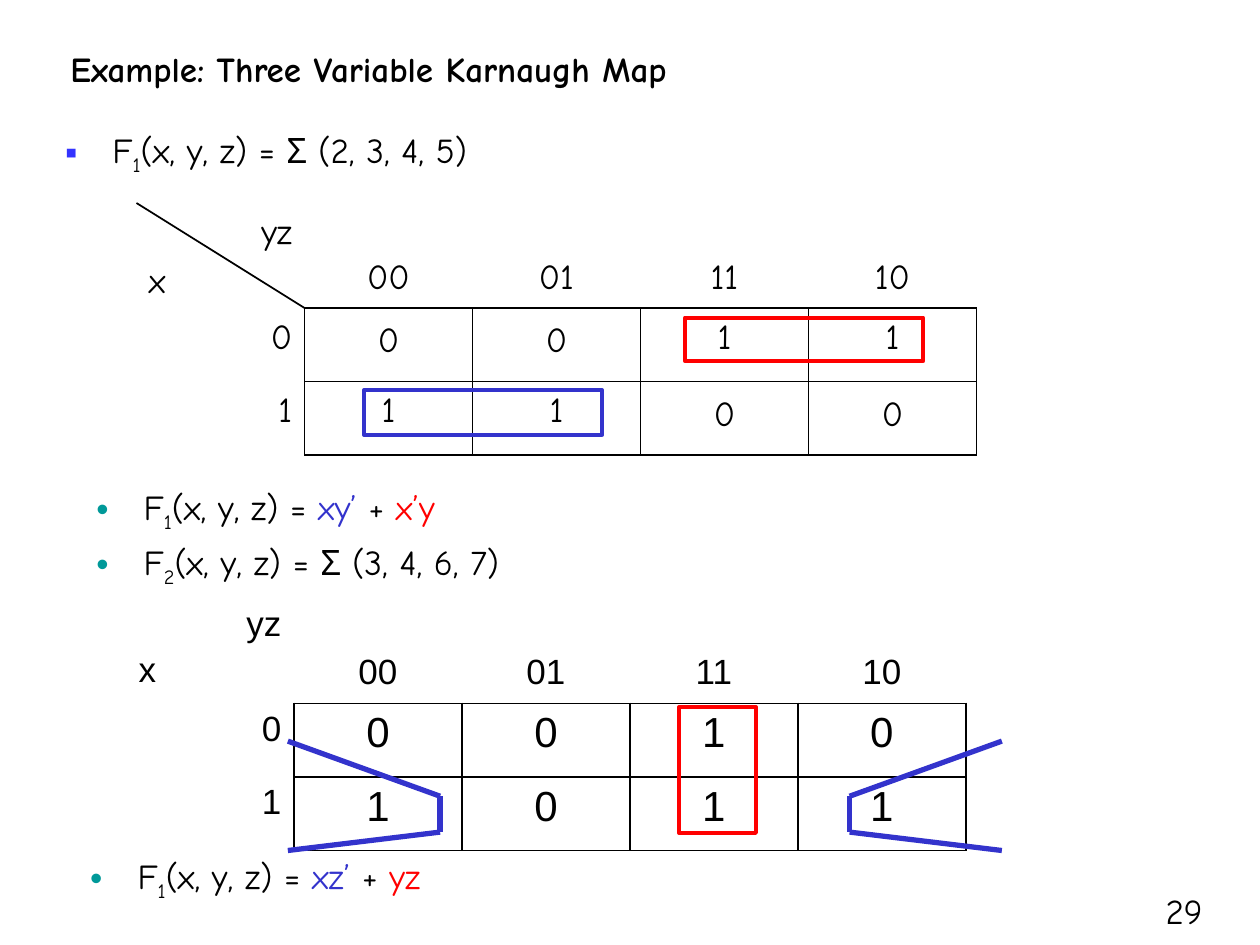
from dataclasses import dataclass
from itertools import accumulate

from lxml.etree import SubElement
from pptx import Presentation
from pptx.dml.color import RGBColor
from pptx.enum.shapes import MSO_CONNECTOR, MSO_SHAPE
from pptx.enum.text import MSO_ANCHOR, MSO_AUTO_SIZE, PP_ALIGN
from pptx.oxml.ns import qn
from pptx.util import Pt


@dataclass(frozen=True)
class Theme:
    font: str = "Comic Neue"
    table_font: str = "Arial"
    size: float = 20
    value_size: float = 24
    gap: float = 4
    black: str = "000000"
    blue: str = "3333CC"
    red: str = "FF0000"
    square_bullet: str = "3333FF"
    round_bullet: str = "009999"
    rule: float = 1
    marker: float = 2.25
    bracket: float = 3


THEME = Theme()
LEFT, CENTER, RIGHT = PP_ALIGN.LEFT, PP_ALIGN.CENTER, PP_ALIGN.RIGHT
COLUMN, ROWS = 96, (60, 42, 42)
CODES = ("00", "01", "11", "10")
HEADER_FOOT = 6.4  # lines the codes up with the x label


def points(*lengths):
    return [Pt(length) for length in lengths]


class SlideBuilder:
    def __init__(self, page, theme):
        self.page, self.theme = page, theme

    def fill_text(self, frame, paragraphs, align=LEFT, bullet=None, **font):
        """Each paragraph is a list of (text, colour, is_subscript) spans."""
        theme = self.theme
        style = {"name": theme.font, "size": Pt(theme.size), "bold": False, **font}
        for index, spans in enumerate(paragraphs):
            para = frame.paragraphs[0] if index == 0 else frame.add_paragraph()
            para.alignment = align[index] if isinstance(align, tuple) else align
            para.space_before = Pt(theme.gap if index else 0)
            if bullet:
                self.add_bullet(para, *bullet)
            for text, colour, subscript in spans:
                span = para.add_run()
                span.text = text
                for name, value in style.items():
                    setattr(span.font, name, value)
                span.font.color.rgb = RGBColor.from_string(colour)
                if subscript:
                    span._r.get_or_add_rPr().set("baseline", "-25000")

    def add_bullet(self, para, symbol, colour):
        properties = para._p.get_or_add_pPr()
        properties.set("marL", str(Pt(27)))
        properties.set("indent", str(-Pt(27)))
        holder = SubElement(properties, qn("a:buClr"))
        SubElement(holder, qn("a:srgbClr"), val=colour)
        SubElement(properties, qn("a:buFont"), typeface="Arial")
        SubElement(properties, qn("a:buChar"), char=symbol)

    def placeholder(self, index, place, paragraphs, anchor, **style):
        box = self.page.placeholders[index]
        for name, value in zip(("left", "top", "width", "height"), points(*place)):
            setattr(box, name, value)
        frame = box.text_frame
        frame.auto_size = MSO_AUTO_SIZE.NONE
        frame.vertical_anchor = anchor
        self.fill_text(frame, paragraphs, **style)

    def text(self, place, paragraphs, anchor=MSO_ANCHOR.TOP, foot=3.6, **style):
        frame = self.page.shapes.add_textbox(*points(*place)).text_frame
        frame.word_wrap = True
        frame.vertical_anchor = anchor
        frame.margin_bottom = Pt(foot)
        self.fill_text(frame, paragraphs, **style)

    def line(self, start, end, colour, width):
        line = self.page.shapes.add_connector(
            MSO_CONNECTOR.STRAIGHT, *points(*start, *end))
        line.line.color.rgb = RGBColor.from_string(colour)
        line.line.width = Pt(width)
        SubElement(line._element.spPr, qn("a:effectLst"))

    def marker(self, place, colour):
        box = self.page.shapes.add_shape(MSO_SHAPE.RECTANGLE, *points(*place))
        box.shadow.inherit = False
        box.fill.background()
        box.line.color.rgb = RGBColor.from_string(colour)
        box.line.width = Pt(self.theme.marker)

    def border(self, cell, sides):
        properties = cell._tc.get_or_add_tcPr()
        for side, visible in sides.items():
            edge = SubElement(properties, qn("a:ln" + side), w=str(Pt(self.theme.rule)))
            if visible:
                fill = SubElement(edge, qn("a:solidFill"))
                SubElement(fill, qn("a:srgbClr"), val=self.theme.black)
            else:
                SubElement(edge, qn("a:noFill"))

    def drawn_map(self, left, top, values):
        """Karnaugh map made of text boxes and ruled lines."""
        theme = self.theme
        columns = [left + COLUMN * step for step in range(6)]
        rows = list(accumulate(ROWS, initial=top))
        self.text((left, top, COLUMN, ROWS[0]), [plain("yz"), plain("x")],
                  align=(RIGHT, LEFT))
        for x, code in zip(columns[1:], CODES):
            self.text((x, top, COLUMN, ROWS[0]), [plain(code)],
                      MSO_ANCHOR.BOTTOM, HEADER_FOOT, align=CENTER)
        for label, y, digits in zip("01", rows[1:], values):
            self.text((left, y, COLUMN, ROWS[1]), [plain(label)], align=RIGHT)
            for x, digit in zip(columns[1:], digits):
                drop = 2 if digit == "0" else 0
                self.text((x, y + drop, COLUMN, ROWS[1]), [plain(digit)], align=CENTER)
        rules = [((left, top), (columns[1], rows[1]))]
        rules += [((x, rows[1]), (x, rows[-1])) for x in columns[1:]]
        rules += [((columns[1], y), (columns[-1], y)) for y in rows[1:]]
        for start, end in rules:
            self.line(start, end, theme.black, theme.rule)

    def table_map(self, left, top, values):
        """Karnaugh map as a table."""
        theme = self.theme
        table = self.page.shapes.add_table(
            3, 5, *points(left, top, 5 * COLUMN, sum(ROWS))).table
        table.first_row = table.horz_banding = False
        for column in table.columns:
            column.width = Pt(COLUMN)
        for row, height in zip(table.rows, ROWS):
            row.height = Pt(height)
        content = [("", *CODES), ("0", *values[0]), ("1", *values[1])]
        for r, texts in enumerate(content):
            for c, text in enumerate(texts):
                cell = table.cell(r, c)
                inside = r > 0 and c > 0
                self.border(cell, {"L": inside, "R": r > 0, "T": inside, "B": c > 0})
                cell.fill.background()
                if r == 0 and c > 0:
                    cell.vertical_anchor = MSO_ANCHOR.BOTTOM
                    cell.margin_bottom = Pt(HEADER_FOOT)
                corner = r == c == 0
                self.fill_text(
                    cell.text_frame,
                    [plain("yz"), plain("x")] if corner else [plain(text)],
                    align=(RIGHT, LEFT) if corner else CENTER if c else RIGHT,
                    name=theme.table_font,
                    size=Pt(theme.value_size if inside else theme.size))


def plain(text, colour=THEME.black):
    return [(text, colour, False)]


def function(index, result):
    return plain("F") + [(index, THEME.black, True)] + plain("(x, y, z) = " + result)


def solution(first, second):
    return (function("1", "") + plain(first, THEME.blue) + plain(" + ")
            + plain(second, THEME.red))


def main():
    deck = Presentation()
    deck.slide_width, deck.slide_height = points(720, 540)
    page = deck.slides.add_slide(deck.slide_layouts[1])
    builder = SlideBuilder(page, THEME)
    round_bullet = ("•", THEME.round_bullet)

    # Title, first function and page number
    builder.placeholder(0, (33, 6, 687, 66),
                        [plain("Example: Three Variable Karnaugh Map")],
                        MSO_ANCHOR.MIDDLE, bold=True)
    builder.placeholder(1, (30, 70, 690, 48), [function("1", "Σ (2, 3, 4, 5)")],
                        MSO_ANCHOR.TOP, bullet=("▪", THEME.square_bullet))
    builder.text((659, 505, 51, 35), [plain("29")])

    # First map with its groups
    builder.drawn_map(78, 116, ("0011", "1100"))
    builder.marker((391.5, 181.5, 136, 25), THEME.red)
    builder.marker((208, 223, 136, 25.5), THEME.blue)

    # First solution and second function
    builder.text((48, 274, 690, 66),
                 [solution("xy’", "x’y"), function("2", "Σ (3, 4, 6, 7)")],
                 bullet=round_bullet)

    # Second map, its solution and its groups
    builder.table_map(72, 342, ("0010", "1011"))
    builder.text((44.5, 485, 690, 48), [solution("xz’", "yz")], bullet=round_bullet)
    builder.marker((388, 404, 44, 72), THEME.red)
    for inner, outer in ((485.5, 572.5), (251.5, 164.5)):
        bracket = [(outer, 423.5), (inner, 455), (inner, 475.5), (outer, 486)]
        for start, end in zip(bracket, bracket[1:]):
            builder.line(start, end, THEME.blue, THEME.bracket)

    deck.save("out.pptx")


if __name__ == "__main__":
    main()
